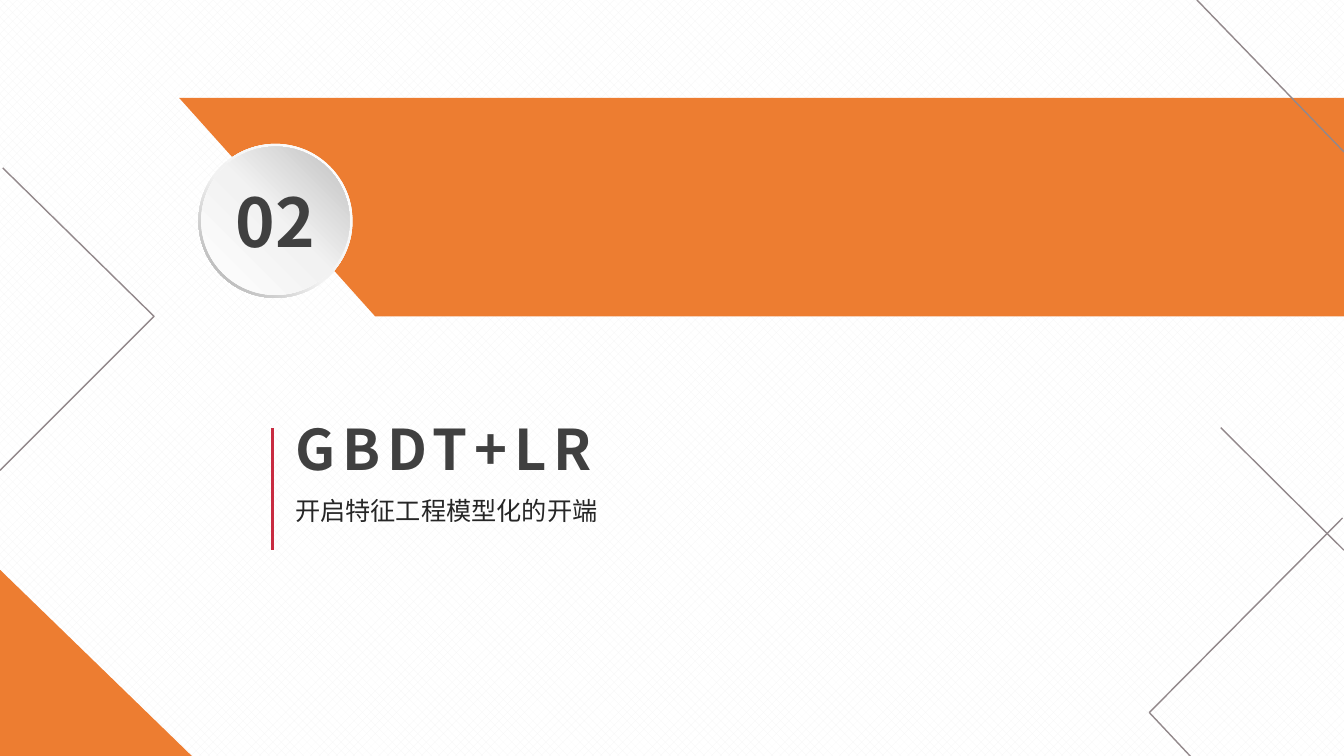
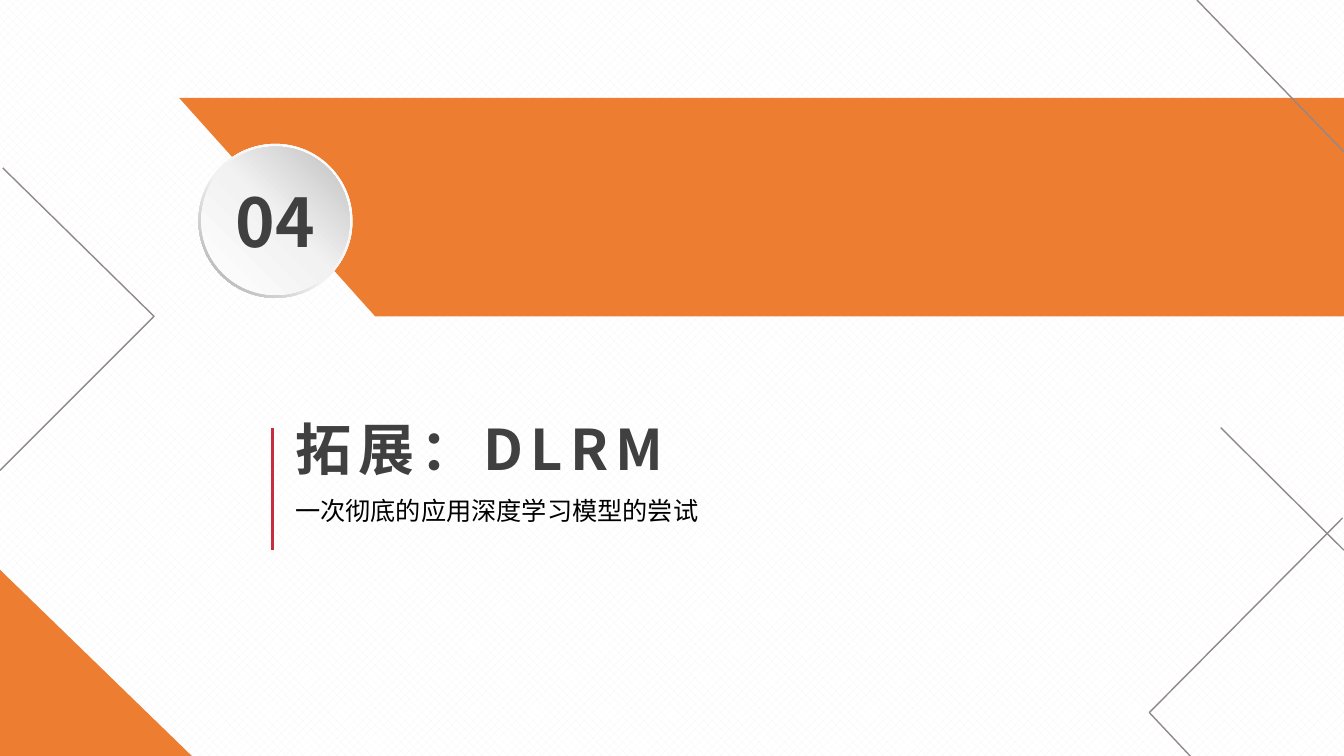
from lxml.etree import SubElement
from pptx import Presentation
from pptx.dml.color import RGBColor as RGB
from pptx.enum.dml import MSO_PATTERN
from pptx.enum.lang import MSO_LANGUAGE_ID as LANG
from pptx.enum.shapes import MSO_CONNECTOR, MSO_SHAPE as SHAPE
from pptx.enum.text import MSO_ANCHOR as ANCHOR, PP_ALIGN as ALIGN
from pptx.oxml.ns import qn
from pptx.util import Pt

WHITE = RGB(0xFF, 0xFF, 0xFF)
WEAVE = RGB(0xF5, 0xF5, 0xF5)
ORANGE = RGB(0xED, 0x7D, 0x31)
RED = RGB(0xC8, 0x2C, 0x41)
GREY = RGB(0x92, 0x88, 0x8B)
DARK = RGB(0x40, 0x40, 0x40)
INK = RGB(0x26, 0x26, 0x26)
BLACK = RGB(0, 0, 0)
PALE = RGB(0xF2, 0xF2, 0xF2)
SILVER = RGB(0xBF, 0xBF, 0xBF)
STEEL = RGB(0xA6, 0xA6, 0xA6)
FACE = "Noto Sans CJK SC"
WIDE, HIGH = 960, 540

SECTIONS = [
    ("02", "GBDT+LR", "开启特征工程模型化的开端", INK),
    ("04", "拓展：DLRM", "一次彻底的应用深度学习模型的尝试", BLACK),
]
CHEVRONS = [
    [(2, 119.5), (109.5, 226), (0, 335.5)],
    [(852.5, 541.5), (821, 509), (959, 370)],
]
BAND = [(128, 70), (WIDE, 70), (WIDE, 225.5), (268.5, 225.5)]
CENTRE = (196.75, 157.75)
RING = [(0, WHITE), (55, PALE), (100, STEEL)]
DISC = [(0, WHITE), (51, PALE), (100, SILVER)]


def add_shape(slide, kind, *box):
    shape = slide.shapes.add_shape(kind, *map(Pt, box))
    shape.shadow.inherit = False
    shape.line.fill.background()
    return shape


def add_path(slide, points, close=False):
    pen = slide.shapes.build_freeform(*points[0], scale=Pt(1))
    pen.add_line_segments(points[1:], close=close)
    path = pen.convert_to_shape()
    path.shadow.inherit = False
    return path


def set_line(line, color, width):
    line.color.rgb = color
    line.width = Pt(width)


def add_line(slide, ends, color=GREY, width=1):
    line = slide.shapes.add_connector(MSO_CONNECTOR.STRAIGHT, *map(Pt, ends))
    set_line(line.line, color, width)
    SubElement(line._element.spPr, qn("a:effectLst"))


def add_round(slide, kind, radius, stops, angle):
    x, y = CENTRE
    shape = add_shape(slide, kind, x - radius, y - radius, 2 * radius, 2 * radius)
    shape.fill.gradient()
    shape.fill.gradient_angle = angle
    group = shape._element.spPr.find(".//" + qn("a:gsLst"))
    for old in list(group):
        group.remove(old)
    for place, color in stops:
        stop = SubElement(group, qn("a:gs"), pos=str(place * 1000))
        SubElement(stop, qn("a:srgbClr"), val=str(color))
    return shape


def set_text(frame, text, size, color, bold=False, gap=0):
    frame.text = text
    frame.word_wrap = True
    run = frame.paragraphs[0].runs[0]
    font = run.font
    font.size, font.bold, font.name = Pt(size), bold, FACE
    font.color.rgb = color
    font.language_id = LANG.SIMPLIFIED_CHINESE
    props = run._r.get_or_add_rPr()
    SubElement(props, qn("a:ea"), typeface=FACE)
    if gap:
        props.set("spc", str(gap * 100))


def add_text(slide, box, *style, anchor=ANCHOR.TOP):
    frame = slide.shapes.add_textbox(*map(Pt, box)).text_frame
    frame.vertical_anchor = anchor
    set_text(frame, *style)


def add_decor(slide):
    fill = add_shape(slide, SHAPE.RECTANGLE, 0, 0, WIDE, HIGH).fill
    fill.patterned()
    fill.pattern = MSO_PATTERN.WEAVE
    fill.fore_color.rgb, fill.back_color.rgb = WEAVE, WHITE
    for points in CHEVRONS:
        path = add_path(slide, points)
        path.fill.background()
        set_line(path.line, GREY, 1)
    add_line(slide, (872, 305.5, WIDE, 393))
    corner = add_shape(slide, SHAPE.ISOSCELES_TRIANGLE, 0, 407, 137, 133)
    corner.adjustments[0] = 0
    band = add_path(slide, BAND, close=True)
    band.line.fill.background()
    for shape in (corner, band):
        shape.fill.solid()
        shape.fill.fore_color.rgb = ORANGE


def add_badge(slide, number):
    ring = add_round(slide, SHAPE.DONUT, 55, RING, 225)
    ring.adjustments[0] = 0.05
    frame = add_round(slide, SHAPE.OVAL, 53, DISC, 45).text_frame
    set_text(frame, number, 48, DARK, True)
    frame.vertical_anchor = ANCHOR.MIDDLE
    frame.paragraphs[0].alignment = ALIGN.CENTER


def add_section(deck, number, title, note, color):
    slide = deck.slides.add_slide(deck.slide_layouts[6])
    add_decor(slide)
    add_badge(slide, number)
    add_line(slide, (194.5, 306, 194.5, 393), RED, 2.25)
    add_text(slide, (203.75, 292.5, 392.5, 55.5), title, 40, DARK, True, 5,
             anchor=ANCHOR.MIDDLE)
    add_text(slide, (203.75, 350.5, 625.5, 29), note, 18, color)
    add_line(slide, (855, 0, WIDE, 108.5))


def main():
    """Build the section slides and save them."""
    deck = Presentation()
    deck.slide_width, deck.slide_height = Pt(WIDE), Pt(HIGH)
    for section in SECTIONS:
        add_section(deck, *section)
    deck.save("out.pptx")


if __name__ == "__main__":
    main()
